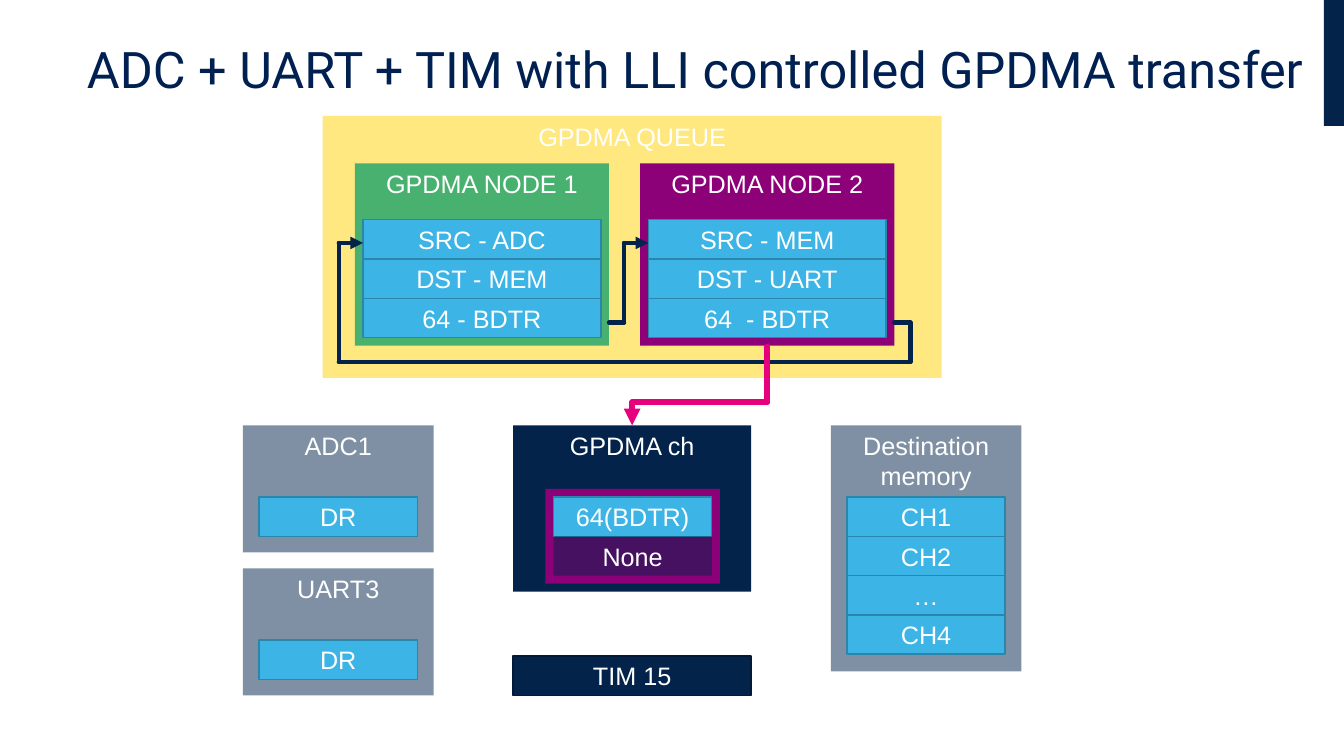
import itertools

import lxml.etree
import pptx
import pptx.dml.color
import pptx.enum.shapes
import pptx.enum.text
import pptx.oxml.ns
import pptx.util
from pptx.util import Inches

# Content
TITLE = "ADC + UART + TIM with LLI controlled GPDMA transfer"
NAVY, BLUE, BLUE_EDGE = "03234B", "3CB4E6", "2C85AA"
PURPLE, GREEN, YELLOW, PINK = "8C0078", "49B170", "FFD200", "E6007E"
WHITE, TITLE_COLOR = "FFFFFF", "002052"
ROW_HEIGHT = 0.39

# Panels: heading, (left, top, width, height), fill, opacity %
PERIPHERAL = (1.89, 1.26)
NODE = (2.52, 1.81)
PANELS = [
    ("ADC1", (2.41, 4.22, *PERIPHERAL), NAVY, 50),
    ("UART3", (2.41, 5.64, *PERIPHERAL), NAVY, 50),
    ("Destination memory", (8.24, 4.22, 1.89, 2.44), NAVY, 50),
    ("GPDMA QUEUE", (3.2, 1.15, 6.14, 2.6), YELLOW, 50),
    ("GPDMA NODE 1", (3.52, 1.62, *NODE), GREEN, 100),
    ("GPDMA NODE 2", (6.35, 1.62, *NODE), PURPLE, 100),
    ("GPDMA ch", (5.09, 4.22, 2.36, 1.65), NAVY, 100),
    ("", (5.41, 4.85, 1.73, 0.94), PURPLE, 100),
]

# Stacks of register rows: left, top, width, labels
REGISTERS = [
    (2.57, 4.93, 1.57, ["DR"]),
    (2.57, 6.35, 1.57, ["DR"]),
    (8.4, 4.93, 1.57, ["CH1", "CH2", "…", "CH4"]),
    (3.6, 2.18, 2.36, ["SRC - ADC", "DST - MEM", "64 - BDTR"]),
    (6.43, 2.18, 2.36, ["SRC - MEM", "DST - UART", "64  - BDTR"]),
    (5.49, 4.93, 1.57, ["64(BDTR)"]),
]

# Routes: corner points, color, width in points; the last leg has the arrowhead
ROUTES = [
    ([(6.04, 3.2), (6.19, 3.2), (6.19, 2.41), (6.43, 2.41)], NAVY, 3),
    ([(8.87, 3.2), (9.03, 3.2), (9.03, 3.59), (3.36, 3.59), (3.36, 2.41),
      (3.6, 2.41)], NAVY, 3),
    ([(7.61, 3.44), (7.61, 3.99), (6.27, 3.99), (6.27, 4.22)], PINK, 4),
]


def rgb(color):
    return pptx.dml.color.RGBColor.from_string(color)


def add_element(parent, tag, **attributes):
    lxml.etree.SubElement(parent, pptx.oxml.ns.qn(tag), attributes)


def add_box(slide, text, box, fill, opacity=100, edge=None, middle=True):
    shape = slide.shapes.add_shape(
        pptx.enum.shapes.MSO_SHAPE.RECTANGLE, *map(Inches, box))
    shape.shadow.inherit = False
    shape.fill.solid()
    shape.fill.fore_color.rgb = rgb(fill)
    if opacity < 100:
        color = shape._element.spPr.find(".//" + pptx.oxml.ns.qn("a:srgbClr"))
        add_element(color, "a:alpha", val=str(opacity * 1000))
    if edge:
        shape.line.color.rgb = rgb(edge)
        shape.line.width = pptx.util.Pt(1)
    else:
        shape.line.fill.background()
    if text:
        anchor = pptx.enum.text.MSO_ANCHOR
        frame = shape.text_frame
        frame.word_wrap = True
        frame.vertical_anchor = anchor.MIDDLE if middle else anchor.TOP
        frame.text = text
        paragraph = frame.paragraphs[0]
        paragraph.alignment = pptx.enum.text.PP_ALIGN.CENTER
        set_font(paragraph, "Arial", 18, WHITE)


def set_font(paragraph, name, size, color):
    paragraph.font.name = name
    paragraph.font.size = pptx.util.Pt(size)
    paragraph.font.color.rgb = rgb(color)


def add_route(slide, points, color, width):
    for start, end in itertools.pairwise(points):
        connector = slide.shapes.add_connector(
            pptx.enum.shapes.MSO_CONNECTOR.STRAIGHT, *map(Inches, start + end))
        connector.line.color.rgb = rgb(color)
        connector.line.width = pptx.util.Pt(width)
        properties = connector._element.spPr
        line = properties.find(pptx.oxml.ns.qn("a:ln"))
        line.set("cap", "rnd")
        if end == points[-1]:
            add_element(line, "a:tailEnd", type="triangle")
        add_element(properties, "a:effectLst")


def main():
    presentation = pptx.Presentation()
    presentation.slide_width = Inches(13.33)
    presentation.slide_height = Inches(7.5)
    slide = presentation.slides.add_slide(presentation.slide_layouts[5])

    # Corner bar and title
    add_box(slide, "", (13.13, 0, 0.2, 1.25), NAVY)
    title = slide.shapes.title
    title.left, title.top = Inches(0.33), Inches(0)
    title.width, title.height = Inches(12.7), Inches(1.43)
    title.text_frame.text = TITLE
    title.text_frame.word_wrap = True
    title.text_frame.vertical_anchor = pptx.enum.text.MSO_ANCHOR.MIDDLE
    paragraph = title.text_frame.paragraphs[0]
    paragraph.alignment = pptx.enum.text.PP_ALIGN.RIGHT
    paragraph.line_spacing = 0.9
    set_font(paragraph, "Roboto", 36, TITLE_COLOR)

    # Panels and their register rows
    for heading, box, fill, opacity in PANELS:
        add_box(slide, heading, box, fill, opacity, middle=False)
    for left, top, width, labels in REGISTERS:
        for index, label in enumerate(labels):
            row = (left, top + index * ROW_HEIGHT, width, ROW_HEIGHT)
            add_box(slide, label, row, BLUE, edge=BLUE_EDGE)

    # Channel trigger and timer
    add_box(slide, "None", (5.49, 5.32, 1.57, ROW_HEIGHT), NAVY, 50)
    add_box(slide, "TIM 15", (5.09, 6.51, 2.36, ROW_HEIGHT), NAVY, edge="021A37")

    # Linked-list routes
    for points, color, width in ROUTES:
        add_route(slide, points, color, width)

    presentation.save("out.pptx")


if __name__ == "__main__":
    main()
